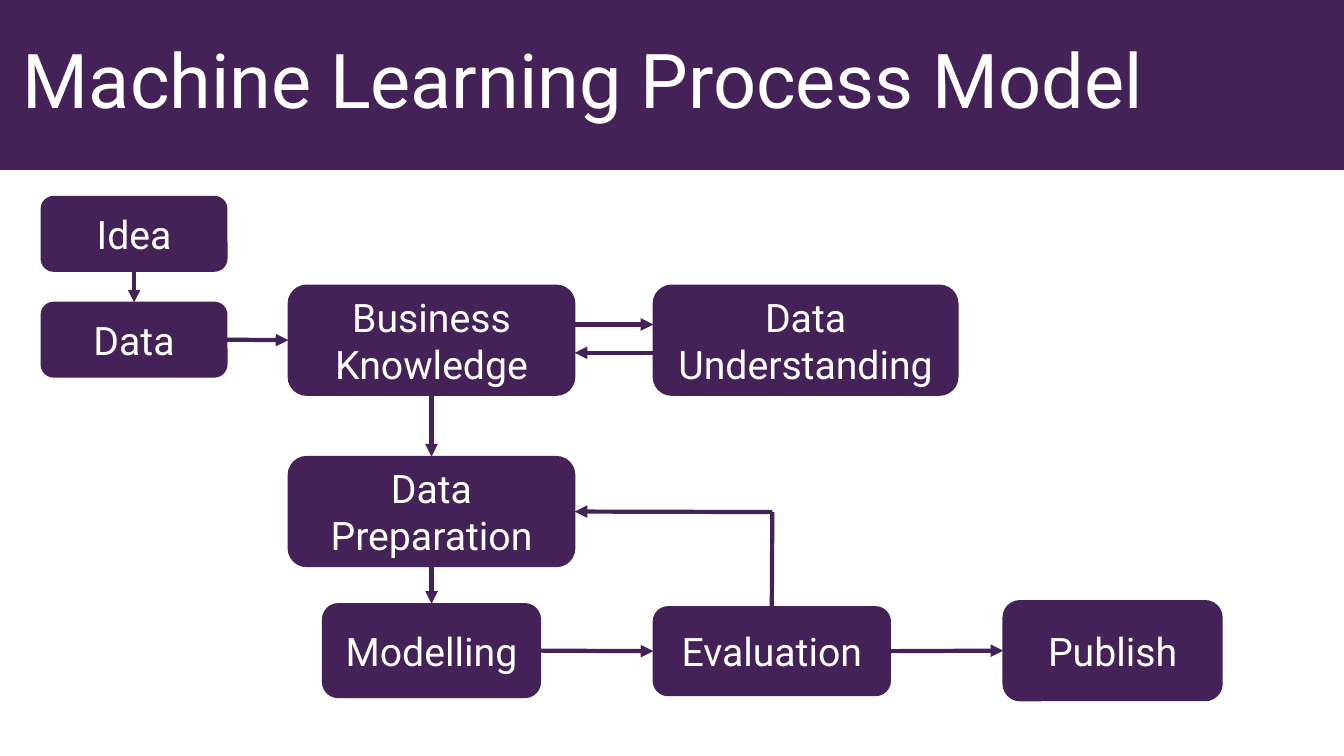
from lxml import etree
from pptx import Presentation, util as u
from pptx.dml.color import RGBColor
from pptx.enum import shapes, text
from pptx.oxml.ns import qn

PX = 9144  # 100 px to the inch
PURPLE, WHITE = "442157", "FFFFFF"
FONT = "Roboto"
TOP, LEFT, BOTTOM, RIGHT = range(4)

STEPS = {
    "Idea": (41, 195, 184, 74),
    "Data": (41, 300, 184, 74),
    "Business Knowledge": (286, 283, 284, 109),
    "Data Preparation": (286, 453, 284, 109),
    "Modelling": (320, 599, 216, 93),
    "Evaluation": (648, 602, 235, 88),
    "Data Understanding": (648, 283, 302, 109),
    "Publish": (995, 596, 217, 99),
}
FLOWS = [
    ("Idea", BOTTOM, "Data", TOP),
    ("Data", RIGHT, "Business Knowledge", LEFT),
    ("Business Knowledge", BOTTOM, "Data Preparation", TOP),
    ("Data Preparation", BOTTOM, "Modelling", TOP),
    ("Modelling", RIGHT, "Evaluation", LEFT),
    ("Evaluation", RIGHT, "Publish", LEFT),
]


def px(*lengths):
    return [u.Emu(length * PX) for length in lengths]


def color(hex_value):
    return RGBColor.from_string(hex_value)


def write(shape, words, size, align):
    frame = shape.text_frame
    frame.word_wrap = True
    frame.vertical_anchor = text.MSO_ANCHOR.MIDDLE
    frame.text = words
    paragraph = frame.paragraphs[0]
    paragraph.alignment = align
    font = paragraph.runs[0].font
    font.name, font.size = FONT, u.Pt(size)
    font.color.rgb = color(WHITE)
    return paragraph


def add_block(slide, kind, box):
    block = slide.shapes.add_shape(kind, *px(*box))
    block.shadow.inherit = False
    block.fill.solid()
    block.fill.fore_color.rgb = color(PURPLE)
    block.line.color.rgb = color(PURPLE)
    block.line.width = u.Pt(1)
    return block


def add_header(slide, words):
    add_block(slide, shapes.MSO_SHAPE.RECTANGLE, (0, 0, 1333, 168))
    title = slide.shapes.add_textbox(*px(13, 11, 1150, 145))
    write(title, words, 54, text.PP_ALIGN.LEFT).line_spacing = 0.9


def add_step(slide, words, box):
    step = add_block(slide, shapes.MSO_SHAPE.ROUNDED_RECTANGLE, box)
    write(step, words, 28, text.PP_ALIGN.CENTER)
    return step


def add_line(slide, start=(0, 0), end=(0, 0), arrow=True):
    line = slide.shapes.add_connector(
        shapes.MSO_CONNECTOR.STRAIGHT, *px(*start, *end))
    line.line.color.rgb = color(PURPLE)
    line.line.width = u.Pt(3)
    if arrow:
        etree.SubElement(line.line._get_or_add_ln(), qn("a:tailEnd"), type="triangle")
    etree.SubElement(line._element.spPr, qn("a:effectLst"))
    return line


def main():
    deck = Presentation()
    deck.slide_width, deck.slide_height = px(1333, 750)
    slide = deck.slides.add_slide(deck.slide_layouts[6])

    add_header(slide, "Machine Learning Process Model")
    steps = {words: add_step(slide, words, box) for words, box in STEPS.items()}

    for source, source_side, target, target_side in FLOWS:
        flow = add_line(slide)
        flow.begin_connect(steps[source], source_side)
        flow.end_connect(steps[target], target_side)

    # Business knowledge and data understanding inform each other
    add_line(slide, (570, 322), (648, 322))
    add_line(slide, (648, 350), (570, 350))

    # Evaluation leads back to data preparation
    corner = (766, 508)
    rise = add_line(slide, end=corner, arrow=False)
    rise.begin_connect(steps["Evaluation"], TOP)
    feedback = add_line(slide, start=corner)
    feedback.end_connect(steps["Data Preparation"], RIGHT)

    deck.save("out.pptx")


if __name__ == "__main__":
    main()
